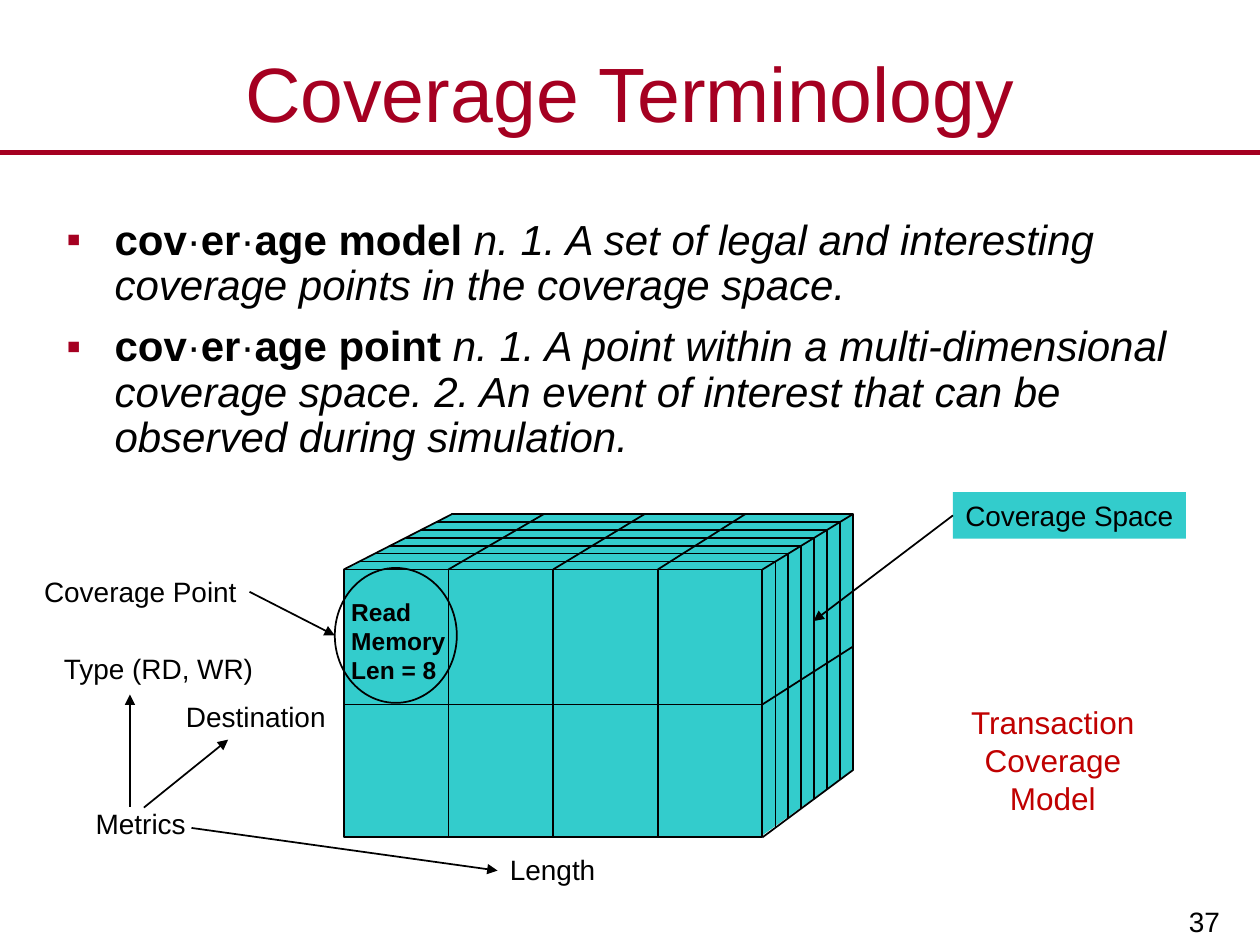
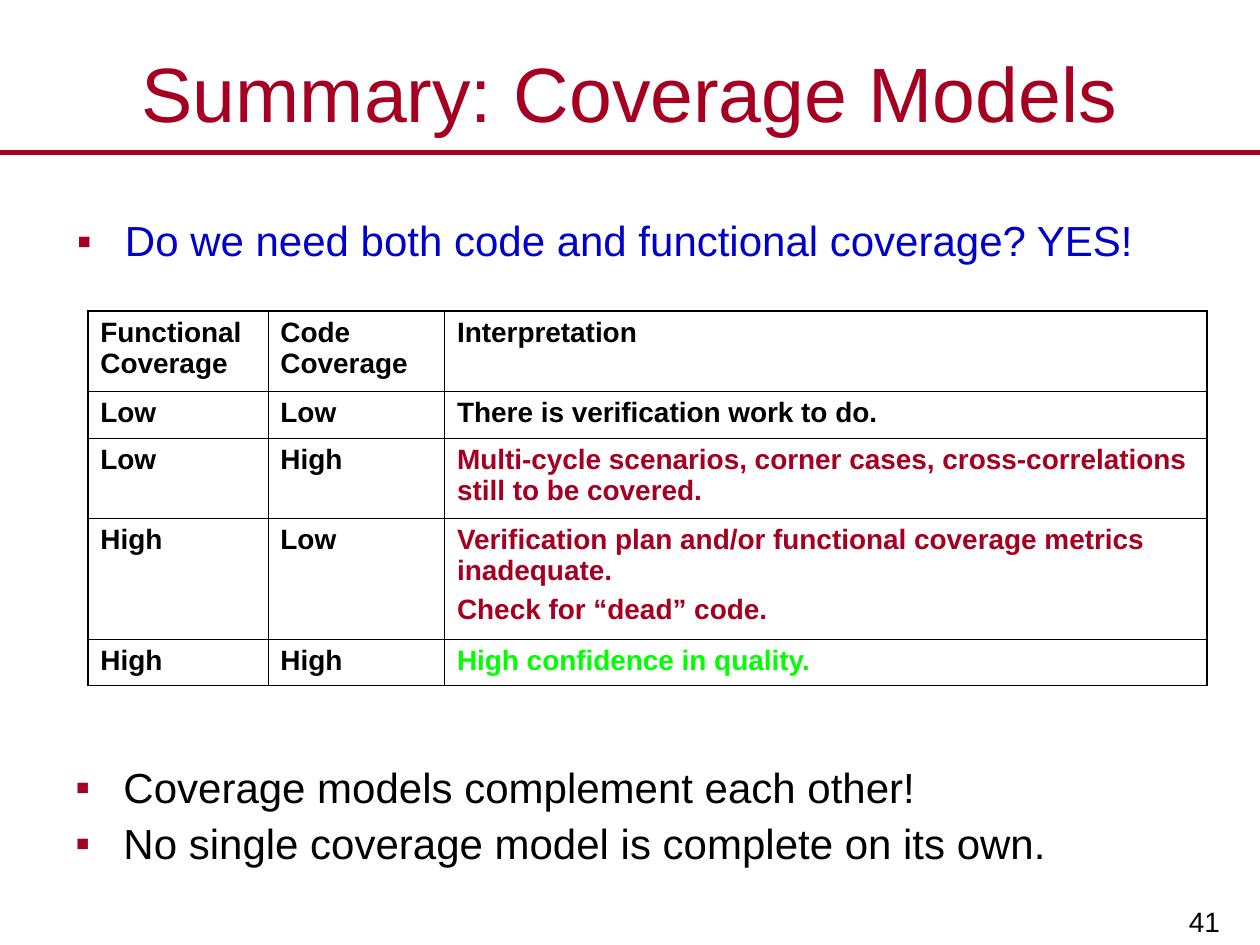
from dataclasses import dataclass
from typing import NamedTuple, Optional

from lxml import etree
from pptx import Presentation, util as u
from pptx.dml.color import RGBColor
from pptx.enum import shapes, text
from pptx.oxml import ns


@dataclass(frozen=True)
class Theme:
    font: str = "Arial"
    black: str = "000000"
    crimson: str = "A50021"
    red: str = "C00000"
    blue: str = "0000CC"
    green: str = "00FF00"
    teal: str = "33CCCC"
    title: int = 44
    body: int = 24
    caption: int = 18
    label: int = 16
    small: int = 14
    thin: float = 1
    rule: float = 3
    table_outer: float = 1.08
    table_inner: float = 0.45


THEME = Theme()


class Box(NamedTuple):
    """Position and size in centimetres."""
    left: float
    top: float
    width: float
    height: float

    def lengths(self) -> list[u.Length]:
        return [u.Cm(value) for value in self]


class Point(NamedTuple):
    x: float
    y: float


class Span(NamedTuple):
    words: str
    bold: bool = False
    italic: bool = False


@dataclass(frozen=True)
class Style:
    size: int
    color: str = THEME.black
    bold: bool = False
    align: text.PP_ALIGN = text.PP_ALIGN.LEFT
    anchor: text.MSO_ANCHOR = text.MSO_ANCHOR.TOP
    wrap: bool = True
    bullet: bool = False
    space_before: float = 0


class Label(NamedTuple):
    box: Box
    words: str


class Row(NamedTuple):
    height: float
    functional: str
    code: str
    interpretation: list[str]
    color: str = THEME.black


TITLE = Style(THEME.title, THEME.crimson, align=text.PP_ALIGN.CENTER, anchor=text.MSO_ANCHOR.MIDDLE)
NUMBER = Style(THEME.label, align=text.PP_ALIGN.RIGHT, anchor=text.MSO_ANCHOR.BOTTOM)
LABEL = Style(THEME.label, wrap=False)
POINT_TEXT = Style(THEME.small, bold=True, anchor=text.MSO_ANCHOR.MIDDLE, wrap=False)
CAPTION = Style(THEME.caption, THEME.red, align=text.PP_ALIGN.CENTER)
DEFINITION = Style(THEME.body, bullet=True, space_before=9)
STATEMENT = Style(THEME.body, bullet=True, space_before=6)
QUESTION = Style(THEME.body, THEME.blue, bullet=True)

METRIC_LABELS = [
    Label(Box(3.5, 13.97, 3.5, 0.94), "Destination"),
    Label(Box(10.03, 17.07, 2.5, 0.94), "Length"),
    Label(Box(1.68, 16.13, 2.7, 0.94), "Metrics"),
    Label(Box(1.04, 13, 4.5, 0.94), "Type (RD, WR)"),
]
METRIC_ARROWS = [
    (Point(2.9, 16.28), Point(4.6, 14.91)),
    (Point(3.86, 16.69), Point(10.03, 17.55)),
    (Point(2.62, 16.26), Point(2.62, 14)),
]
COLUMN_WIDTHS = [3.63, 3.56, 15.37]
ROWS = [
    Row(1.62, "Functional Coverage", "Code Coverage", ["Interpretation"]),
    Row(0.94, "Low", "Low", ["There is verification work to do."]),
    Row(1.62, "Low", "High",
        ["Multi-cycle scenarios, corner cases, cross-correlations still to be covered."], THEME.crimson),
    Row(2.43, "High", "Low",
        ["Verification plan and/or functional coverage metrics inadequate.", "Check for “dead” code."],
        THEME.crimson),
    Row(0.94, "High", "High", ["High confidence in quality."], THEME.green),
]


def add_bullet(paragraph) -> None:
    properties = paragraph._p.get_or_add_pPr()
    indent = u.Cm(0.97)
    properties.set("marL", str(indent))
    properties.set("indent", str(-indent))
    color = etree.SubElement(properties, ns.qn("a:buClr"))
    etree.SubElement(color, ns.qn("a:srgbClr"), val=THEME.crimson)
    etree.SubElement(properties, ns.qn("a:buFont"), typeface=THEME.font)
    etree.SubElement(properties, ns.qn("a:buChar"), char="▪")


def write(frame, paragraphs: list[list[Span]], style: Style) -> None:
    for index, spans in enumerate(paragraphs):
        paragraph = frame.paragraphs[0] if index == 0 else frame.add_paragraph()
        paragraph.alignment = style.align
        if style.bullet:
            add_bullet(paragraph)
            paragraph.line_spacing = 0.9
        if index and style.space_before:
            paragraph.space_before = u.Pt(style.space_before)
        for span in spans:
            run = paragraph.add_run()
            run.text = span.words
            run.font.name = THEME.font
            run.font.size = u.Pt(style.size)
            run.font.bold = style.bold or span.bold
            run.font.italic = span.italic
            run.font.color.rgb = RGBColor.from_string(style.color)


def plain(*lines: str) -> list[list[Span]]:
    return [[Span(line)] for line in lines]


def add_text(slide, box: Box, paragraphs: list[list[Span]], style: Style):
    shape = slide.shapes.add_textbox(*box.lengths())
    frame = shape.text_frame
    frame.word_wrap = style.wrap
    frame.vertical_anchor = style.anchor
    write(frame, paragraphs, style)
    return shape


def add_block(slide, kind: shapes.MSO_SHAPE, box: Box, fill: Optional[str] = THEME.teal,
              line: str = THEME.black, flip: str = ""):
    shape = slide.shapes.add_shape(kind, *box.lengths())
    shape.shadow.inherit = False
    if fill:
        shape.fill.solid()
        shape.fill.fore_color.rgb = RGBColor.from_string(fill)
    else:
        shape.fill.background()
    shape.line.color.rgb = RGBColor.from_string(line)
    shape.line.width = u.Pt(THEME.thin)
    if flip:
        shape.element.spPr.get_or_add_xfrm().set(flip, "1")
    return shape


def add_line(slide, start: Point, end: Point, color: str = THEME.black,
             width: float = THEME.thin, arrow: bool = False):
    ends = [u.Cm(value) for value in (*start, *end)]
    connector = slide.shapes.add_connector(shapes.MSO_CONNECTOR.STRAIGHT, *ends)
    connector.line.color.rgb = RGBColor.from_string(color)
    connector.line.width = u.Pt(width)
    if arrow:
        etree.SubElement(connector.line._get_or_add_ln(), ns.qn("a:tailEnd"), type="triangle")
    etree.SubElement(connector.element.spPr, ns.qn("a:effectLst"))
    return connector


def add_slide(presentation, title: str, number: int):
    """Start a slide with the shared rule, title and number."""
    slide = presentation.slides.add_slide(presentation.slide_layouts[6])
    add_line(slide, Point(0, 3.07), Point(25.4, 3.07), THEME.crimson, THEME.rule)
    add_text(slide, Box(0, 0.76, 25.4, 2.18), plain(title), TITLE)
    add_text(slide, Box(19.78, 17.58, 5.06, 1.45), plain(str(number)), NUMBER)
    return slide


def add_cube(slide) -> None:
    """Draw the coverage space: 4 lengths by 2 types by 7 destinations."""
    front, back = Box(6.93, 11.48, 8.44, 5.4), Box(9.12, 10.36, 8.08, 5.16)
    right, bottom = front.left + front.width, front.top + front.height
    back_right, back_bottom = back.left + back.width, back.top + back.height
    columns, slices = 4, 7

    rectangle, triangle = shapes.MSO_SHAPE.RECTANGLE, shapes.MSO_SHAPE.RIGHT_TRIANGLE
    add_block(slide, rectangle, back)
    add_block(slide, triangle, Box(7.01, 10.39, 2.11, 1.09), line=THEME.teal, flip="flipH")
    add_block(slide, triangle, Box(15.37, 15.52, 1.8, 1.3), line=THEME.teal, flip="flipV")
    add_block(slide, rectangle, front)
    for start, end in [
        (Point(front.left, front.top), Point(back.left, back.top)),
        (Point(right, front.top), Point(back_right, back.top)),
        (Point(right, bottom), Point(back_right, back_bottom)),
    ]:
        add_line(slide, start, end)

    middle = Point(right, 14.2)
    add_line(slide, Point(front.left, middle.y), middle)
    add_line(slide, middle, Point(back_right, 13.03))
    for column in range(1, columns):
        x = front.left + front.width * column / columns
        add_line(slide, Point(x, front.top), Point(x, bottom))
        add_line(slide, Point(x, front.top), Point(8.94 + 2.03 * column, back.top))
    for step in range(1, slices):
        depth = step / slices
        x = right + (back_right - right) * depth
        y = front.top + (back.top - front.top) * depth
        add_line(slide, Point(x, bottom + (back_bottom - bottom) * depth), Point(x, y))
        add_line(slide, Point(front.left + (back.left - front.left) * depth, y), Point(x, y))


def definition(term: str, meaning: str) -> list[Span]:
    return [Span("cov", bold=True), Span("·"), Span("er", bold=True), Span("·"),
            Span(f"age {term} ", bold=True), Span(meaning, italic=True)]


def build_terminology(presentation) -> None:
    slide = add_slide(presentation, "Coverage Terminology", 37)
    add_text(slide, Box(1.09, 4.29, 23.14, 6.55), [
        definition("model", "n. 1. A set of legal and interesting coverage points in the coverage space."),
        definition("point", "n. 1. A point within a multi-dimensional coverage space. "
                            "2. An event of interest that can be observed during simulation."),
    ], DEFINITION)
    add_cube(slide)
    for label in METRIC_LABELS:
        add_text(slide, label.box, plain(label.words), LABEL)
    for start, end in METRIC_ARROWS:
        add_line(slide, start, end, arrow=True)

    space = add_text(slide, Box(19.21, 9.92, 4.7, 0.94), plain("Coverage Space"), LABEL)
    space.fill.solid()
    space.fill.fore_color.rgb = RGBColor.from_string(THEME.teal)
    add_line(slide, Point(19.21, 10.39), Point(16.4, 12.52), arrow=True).begin_connect(space, 1)

    add_text(slide, Box(6.83, 12.04, 2.8, 1.75), plain("Read", "Memory", "Len = 8"), POINT_TEXT)
    add_block(slide, shapes.MSO_SHAPE.OVAL, Box(6.75, 11.45, 2.46, 2.72), fill=None)
    point = add_text(slide, Box(0.64, 11.46, 4.39, 0.94), plain("Coverage Point"), LABEL)
    add_line(slide, Point(5.03, 11.93), Point(6.75, 12.81), arrow=True).begin_connect(point, 3)
    add_text(slide, Box(18.75, 14.05, 4.95, 2.54), plain("Transaction Coverage Model"), CAPTION)


def set_border(cell, side: str, width: float) -> None:
    line = etree.SubElement(cell._tc.get_or_add_tcPr(), ns.qn(f"a:ln{side}"), w=str(u.Pt(width)))
    fill = etree.SubElement(line, ns.qn("a:solidFill"))
    etree.SubElement(fill, ns.qn("a:srgbClr"), val=THEME.black)


def add_summary_table(slide) -> None:
    box = Box(1.77, 6.27, sum(COLUMN_WIDTHS), sum(row.height for row in ROWS))
    table = slide.shapes.add_table(len(ROWS), len(COLUMN_WIDTHS), *box.lengths()).table
    table.first_row = table.horz_banding = False
    for column, width in zip(table.columns, COLUMN_WIDTHS):
        column.width = u.Cm(width)
    last_row, last_column = len(ROWS) - 1, len(COLUMN_WIDTHS) - 1
    for r, row in enumerate(ROWS):
        table.rows[r].height = u.Cm(row.height)
        for c, lines in enumerate([[row.functional], [row.code], row.interpretation]):
            cell = table.cell(r, c)
            color = row.color if c == last_column else THEME.black
            write(cell.text_frame, plain(*lines), Style(THEME.label, color, bold=True, space_before=4))
            outer = {"L": c == 0, "R": c == last_column, "T": r == 0, "B": r == last_row}
            for side, is_outer in outer.items():
                set_border(cell, side, THEME.table_outer if is_outer else THEME.table_inner)
            cell.fill.background()


def build_summary(presentation) -> None:
    slide = add_slide(presentation, "Summary: Coverage Models", 41)
    add_text(slide, Box(1.3, 4.32, 23.14, 1.4),
             plain("Do we need both code and functional coverage? YES!"), QUESTION)
    add_summary_table(slide)
    add_text(slide, Box(1.27, 15.34, 22.71, 2.31),
             plain("Coverage models complement each other!",
                   "No single coverage model is complete on its own."), STATEMENT)


def main() -> None:
    presentation = Presentation()
    presentation.slide_width, presentation.slide_height = u.Cm(25.4), u.Cm(19.05)
    build_terminology(presentation)
    build_summary(presentation)
    presentation.save("out.pptx")


if __name__ == "__main__":
    main()
